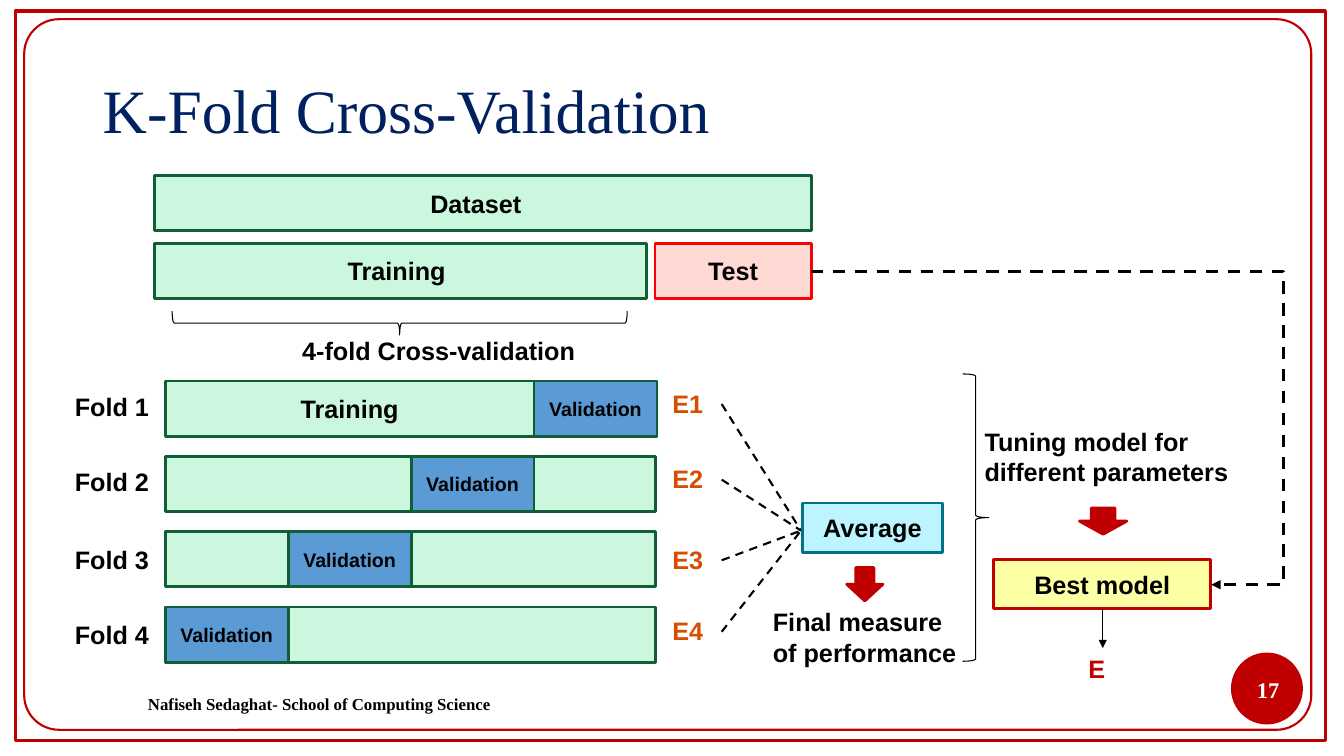
from pptx import Presentation
from pptx.dml.color import RGBColor
from pptx.enum.dml import MSO_LINE
from pptx.enum.shapes import MSO_CONNECTOR as LINK, MSO_SHAPE as SHAPE
from pptx.enum.text import MSO_ANCHOR as ANCHOR, PP_ALIGN as ALIGN
from pptx.oxml.ns import qn
from pptx.util import Pt
from lxml.etree import SubElement

BLACK = RGBColor(0x00, 0x00, 0x00)
WHITE = RGBColor(0xFF, 0xFF, 0xFF)
NAVY = RGBColor(0x00, 0x20, 0x60)
CRIMSON = RGBColor(0xC0, 0x00, 0x00)
RED = RGBColor(0xFF, 0x00, 0x00)
PINK = RGBColor(0xFF, 0xD9, 0xD4)
MINT = RGBColor(0xCC, 0xF7, 0xDF)
GREEN = RGBColor(0x10, 0x5F, 0x34)
BLUE = RGBColor(0x5B, 0x9B, 0xD5)
CYAN = RGBColor(0xBC, 0xF5, 0xFF)
TEAL = RGBColor(0x03, 0x72, 0x86)
YELLOW = RGBColor(0xFD, 0xFF, 0xA4)
ORANGE = RGBColor(0xD8, 0x4E, 0x00)

LABEL = {"name": "Arial", "size": Pt(18), "bold": True}
SMALL = {**LABEL, "size": Pt(14)}
TITLE = {"name": "Times New Roman", "size": Pt(44), "bold": False}
FOOTER = {**TITLE, "size": Pt(12), "bold": True}
NUMBER = {**FOOTER, "size": Pt(16)}

BAR_LEFT, BAR_WIDTH, BAR_HEIGHT = 118.1, 350, 39.4
FOLD_TOP, FOLD_STEP, PART_WIDTH = 272.2, 53.8, 87.8
FOLD_LABEL_TOPS = (275.8, 329.8, 385.2, 438.5)
ERROR_LABEL_TOPS = (273.6, 327.6, 385.2, 436.3)


def points(box):
    return [Pt(length) for length in box]


def write(holder, text, font, color, align, anchor):
    frame = holder.text_frame
    frame.word_wrap = True
    frame.vertical_anchor = anchor
    paragraph = frame.paragraphs[0]
    paragraph.alignment = align
    run = paragraph.add_run()
    run.text = text
    for key, value in font.items():
        setattr(run.font, key, value)
    run.font.color.rgb = color
    return holder


def add_label(slide, box, text, font=LABEL, color=BLACK, align=ALIGN.LEFT, anchor=ANCHOR.TOP):
    return write(slide.shapes.add_textbox(*points(box)), text, font, color, align, anchor)


def add_figure(slide, kind, box, fill, line, width=2, adjust=()):
    figure = slide.shapes.add_shape(kind, *points(box))
    figure.shadow.inherit = False
    if fill is None:
        figure.fill.background()
    else:
        figure.fill.solid()
        figure.fill.fore_color.rgb = fill
    figure.line.color.rgb = line
    figure.line.width = Pt(width)
    for index, value in enumerate(adjust):
        figure.adjustments[index] = value
    return figure


def add_block(slide, box, fill, line, text="", font=LABEL, right_inset=7.2):
    block = add_figure(slide, SHAPE.RECTANGLE, box, fill, line)
    if text:
        write(block, text, font, BLACK, ALIGN.CENTER, ANCHOR.MIDDLE)
        block.text_frame.margin_right = Pt(right_inset)


def add_brace(slide, box, rotation):
    brace = add_figure(slide, SHAPE.LEFT_BRACE, box, None, BLACK, 0.75, (0.083, 0.5))
    brace.rotation = rotation


def add_link(slide, ends, width, dashed=True, arrow=False, bend=None):
    kind = LINK.STRAIGHT if bend is None else LINK.ELBOW
    link = slide.shapes.add_connector(kind, *points(ends))
    link.line.color.rgb = BLACK
    link.line.width = Pt(width)
    if dashed:
        link.line.dash_style = MSO_LINE.DASH
    properties = link._element.spPr
    if arrow:
        SubElement(properties.find(qn("a:ln")), qn("a:tailEnd"), type="triangle")
    if bend is not None:
        guides = properties.find(qn("a:prstGeom")).get_or_add_avLst()
        SubElement(guides, qn("a:gd"), name="adj1", fmla=f"val {round(bend * 100000)}")
    SubElement(properties, qn("a:effectLst"))


def add_frame(slide):
    add_figure(slide, SHAPE.RECTANGLE, (10.8, 7.9, 936, 521.3), None, CRIMSON, 2.25)
    add_figure(slide, SHAPE.ROUNDED_RECTANGLE, (17.3, 13.7, 919.4, 507.6), None, CRIMSON, 1.5, (0.049,))
    add_figure(slide, SHAPE.OVAL, (879.8, 466.6, 50.4, 50.4), CRIMSON, CRIMSON, 1)
    title = add_label(slide, (66.2, 28.8, 828, 104.4), "K-Fold Cross-Validation", TITLE, NAVY,
                      anchor=ANCHOR.MIDDLE)
    title.text_frame.paragraphs[0].line_spacing = 0.9
    add_label(slide, (66.2, 488.2, 324, 28.8), "Nafiseh Sedaghat- School of Computing Science",
              FOOTER, align=ALIGN.CENTER, anchor=ANCHOR.MIDDLE)
    add_label(slide, (704.9, 478.1, 216, 28.8), "17", NUMBER, WHITE, ALIGN.RIGHT, ANCHOR.MIDDLE)


def add_split(slide):
    add_block(slide, (110.2, 125.3, 469.4, BAR_HEIGHT), MINT, GREEN, "Dataset", right_inset=17.2)
    add_block(slide, (110.2, 173.7, 351.4, BAR_HEIGHT), MINT, GREEN, "Training", right_inset=12.2)
    add_block(slide, (467.8, 173.7, 111.6, BAR_HEIGHT), PINK, RED, "Test")
    add_brace(slide, (277, 68.3, 17, 325), 270)
    add_label(slide, (208.8, 236.2, 213.8, 33.8), "4-fold Cross-validation")


def add_folds(slide):
    for index, (fold_top, error_top) in enumerate(zip(FOLD_LABEL_TOPS, ERROR_LABEL_TOPS)):
        top = FOLD_TOP + index * FOLD_STEP
        validation_left = BAR_LEFT + (3 - index) * PART_WIDTH
        if index == 0:
            add_block(slide, (BAR_LEFT, top, 3 * PART_WIDTH, BAR_HEIGHT), MINT, GREEN, "Training")
        else:
            add_block(slide, (BAR_LEFT, top, BAR_WIDTH, BAR_HEIGHT), MINT, GREEN)
        add_block(slide, (validation_left, top, PART_WIDTH, BAR_HEIGHT), BLUE, GREEN, "Validation", SMALL)
        add_label(slide, (46.4, fold_top, 71.3, 29.5), f"Fold {index + 1}")
        add_label(slide, (473.2, error_top, 42.5, 29.5), f"E{index + 1}", color=ORANGE)
        add_link(slide, (515.5, error_top + 15, 572.2, 379), 1.5)


def add_result(slide):
    add_block(slide, (573.1, 359.3, 100.1, 35.3), CYAN, TEAL, "Average")
    add_figure(slide, SHAPE.DOWN_ARROW, (604.8, 405.4, 25.9, 23.8), CRIMSON, CRIMSON)
    add_label(slide, (545, 429.8, 154.8, 50.4), "Final measure of performance")
    add_brace(slide, (687.6, 267.1, 18.7, 205.2), 180)
    add_label(slide, (696.2, 301, 198, 50.4), "Tuning model for different parameters")
    add_figure(slide, SHAPE.DOWN_ARROW, (771.1, 362.9, 33.8, 18.7), CRIMSON, CRIMSON)
    add_block(slide, (709.9, 399.6, 154.8, 35.3), YELLOW, CRIMSON, "Best model")
    add_link(slide, (579.2, 193.7, 865.2, 417.6), 2.25, arrow=True, bend=1.181)
    add_link(slide, (787.7, 434.9, 787.7, 463), 0.75, dashed=False, arrow=True)
    add_label(slide, (770.4, 463, 31.7, 29.5), "E", color=CRIMSON)


def main():
    deck = Presentation()
    deck.slide_width, deck.slide_height = Pt(960), Pt(540)
    slide = deck.slides.add_slide(deck.slide_layouts[6])
    add_frame(slide)
    add_split(slide)
    add_folds(slide)
    add_result(slide)
    deck.save("out.pptx")


if __name__ == "__main__":
    main()
